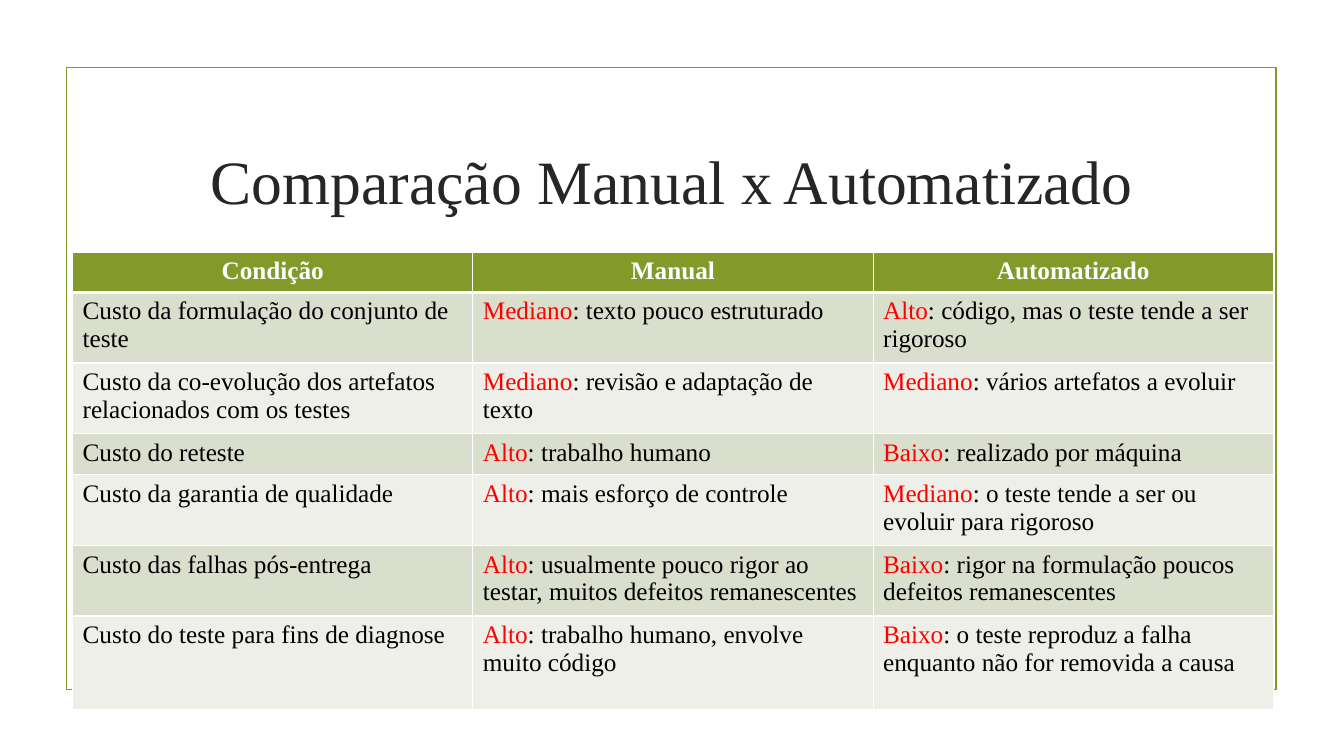
"""Build a slide that compares manual and automated testing in a table."""
from lxml.etree import SubElement
from pptx import Presentation
from pptx.dml.color import RGBColor
from pptx.enum.shapes import MSO_SHAPE
from pptx.enum.text import MSO_ANCHOR, PP_ALIGN
from pptx.oxml.ns import qn
from pptx.util import Inches, Pt

FONT = "Times New Roman"
GREEN, WHITE, BLACK, RED = "83992A", "FFFFFF", "000000", "FF0000"
BANDS = ["D9DECD", "EDEFE8"]
HEADERS = ["Condição", "Manual", "Automatizado"]
ROW_HEIGHTS = [0.4, 0.65, 0.65, 0.41, 0.65, 0.65, 0.93]
CONDITIONS = [
    ("Custo da formulação do conjunto de teste",
     ("Mediano", "texto pouco estruturado"),
     ("Alto", "código, mas o teste tende a ser rigoroso")),
    ("Custo da co-evolução dos artefatos relacionados com os testes",
     ("Mediano", "revisão e adaptação de texto"),
     ("Mediano", "vários artefatos a evoluir")),
    ("Custo do reteste",
     ("Alto", "trabalho humano"),
     ("Baixo", "realizado por máquina")),
    ("Custo da garantia de qualidade",
     ("Alto", "mais esforço de controle"),
     ("Mediano", "o teste tende a ser ou evoluir para rigoroso")),
    ("Custo das falhas pós-entrega",
     ("Alto", "usualmente pouco rigor ao testar, muitos defeitos remanescentes"),
     ("Baixo", "rigor na formulação poucos defeitos remanescentes")),
    ("Custo do teste para fins de diagnose",
     ("Alto", "trabalho humano, envolve muito código"),
     ("Baixo", "o teste reproduz a falha enquanto não for removida a causa")),
]


def color(value):
    return RGBColor.from_string(value)


def add_run(paragraph, text, size, text_color, bold=False):
    run = paragraph.add_run()
    run.text = text
    run.font.name = FONT
    run.font.size = Pt(size)
    run.font.bold = bold
    run.font.color.rgb = color(text_color)


presentation = Presentation()
presentation.slide_width = Inches(13.33)
presentation.slide_height = Inches(7.5)
slide = presentation.slides.add_slide(presentation.slide_layouts[6])

frame = slide.shapes.add_shape(
    MSO_SHAPE.RECTANGLE, Inches(0.66), Inches(0.67), Inches(12), Inches(6.17))
frame.shadow.inherit = False
frame.fill.background()
frame.line.color.rgb = color(GREEN)
frame.line.width = Pt(1.25)

title = slide.shapes.add_textbox(Inches(1.42), Inches(1.07), Inches(10.5), Inches(1.43))
title.text_frame.word_wrap = True
title.text_frame.vertical_anchor = MSO_ANCHOR.MIDDLE
title_paragraph = title.text_frame.paragraphs[0]
title_paragraph.alignment = PP_ALIGN.CENTER
add_run(title_paragraph, "Comparação Manual x Automatizado", 44, "262626")

table = slide.shapes.add_table(
    len(ROW_HEIGHTS), len(HEADERS), Inches(0.72), Inches(2.5),
    Inches(11.9), Inches(sum(ROW_HEIGHTS))).table
for column in table.columns:
    column.width = Inches(3.97)
for row, height in zip(table.rows, ROW_HEIGHTS):
    row.height = Inches(height)

for row_index, contents in enumerate([HEADERS, *CONDITIONS]):
    is_header = row_index == 0
    for column_index, content in enumerate(contents):
        cell = table.cell(row_index, column_index)
        paragraph = cell.text_frame.paragraphs[0]
        if is_header:
            paragraph.alignment = PP_ALIGN.CENTER
            add_run(paragraph, content, 18, WHITE, bold=True)
        elif column_index == 0:
            add_run(paragraph, content, 18, BLACK)
        else:
            level, reason = content
            add_run(paragraph, level, 18, RED)
            add_run(paragraph, f": {reason}", 18, BLACK)

        properties = cell._tc.get_or_add_tcPr()
        for side in ("lnL", "lnR", "lnT", "lnB"):
            under_header = (row_index, side) in [(0, "lnB"), (1, "lnT")]
            border = SubElement(properties, qn(f"a:{side}"), w=str(Pt(3 if under_header else 1)))
            border_fill = SubElement(border, qn("a:solidFill"))
            SubElement(border_fill, qn("a:srgbClr"), val=WHITE)
        cell.fill.solid()
        cell.fill.fore_color.rgb = color(GREEN if is_header else BANDS[(row_index - 1) % 2])

presentation.save("out.pptx")
